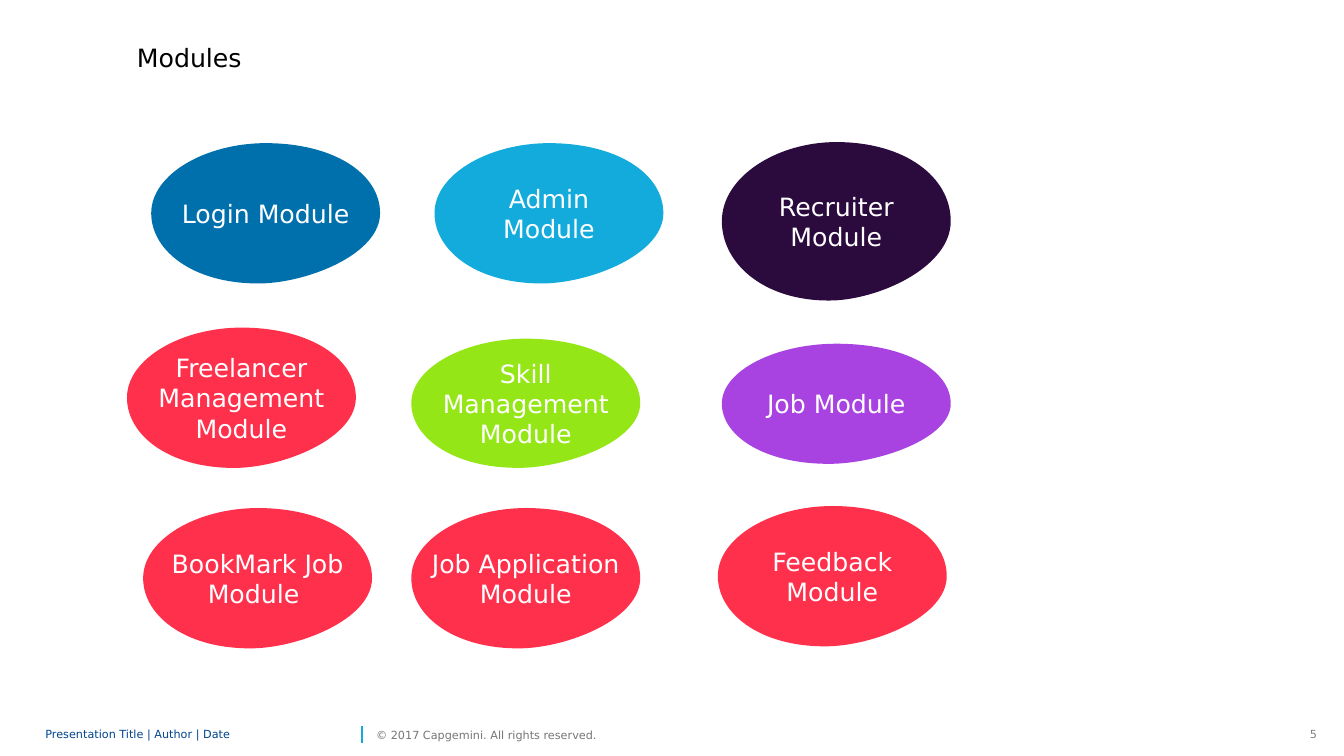
"""Build the slide that shows the nine application modules."""
from typing import NamedTuple

from lxml.etree import SubElement
from pptx import Presentation
from pptx.dml.color import RGBColor
from pptx.enum.shapes import MSO_CONNECTOR
from pptx.enum.text import MSO_ANCHOR, PP_ALIGN
from pptx.oxml.ns import qn
from pptx.shapes.autoshape import Shape
from pptx.slide import Slide
from pptx.text.text import TextFrame
from pptx.util import Inches, Pt

FONT = "DejaVu Sans"
BLOB_WIDTH = 2.27
BLOB_START = (0, 0.5)
BLOB_CURVES = [
    ((0, 0.22), (0.24, 0), (0.5, 0)),
    ((0.8, 0), (1, 0.22), (1, 0.5)),
    ((1, 0.78), (0.71, 0.98), (0.5, 1)),
    ((0.2, 1.02), (0, 0.78), BLOB_START),
]


class Module(NamedTuple):
    left: float
    top: float
    height: float
    color: str
    lines: list[str]


class Label(NamedTuple):
    left: float
    top: float
    width: float
    height: float
    text: str
    style: dict


MODULES = [
    Module(4.08, 3.36, 1.28, "95E616", ["Skill Management Module"]),
    Module(1.26, 3.25, 1.39, "FF304C", ["Freelancer Management", "Module"]),
    Module(4.31, 1.42, 1.39, "12ABDB", ["Admin", "Module"]),
    Module(1.5, 1.42, 1.39, "0070AD", ["Login Module"]),
    Module(7.16, 1.41, 1.57, "2B0A3D", ["Recruiter Module"]),
    Module(7.16, 3.41, 1.19, "A842E0", ["Job Module"]),
    Module(4.08, 5.04, 1.39, "FF304C", ["Job Application", "Module"]),
    Module(7.12, 5.02, 1.39, "FF304C", ["Feedback Module"]),
    Module(1.42, 5.04, 1.39, "FF304C", ["BookMark Job Module "]),
]

FOOTER = {"size": 8, "anchor": MSO_ANCHOR.MIDDLE, "inset": (0, 0)}
LABELS = [
    Label(12.89, 7.17, 0.27, 0.24, "5",
          {"size": 8, "color": "808080", "align": PP_ALIGN.RIGHT, "wrap": False}),
    Label(0.45, 7.17, 3.09, 0.24, "Presentation Title | Author | Date",
          {**FOOTER, "color": "00458D", "spacing": 0.85}),
    Label(3.73, 7.17, 2.43, 0.24, "© 2017 Capgemini. All rights reserved.",
          {**FOOTER, "color": "767676", "wrap": False}),
    Label(1.26, 0.37, 6.27, 0.4, "Modules", {}),
]


def rgb(color: str) -> RGBColor:
    return RGBColor.from_string(color)


def write(frame: TextFrame, lines: list[str], *, size: float = 18,
          color: str = "000000", align: PP_ALIGN = PP_ALIGN.LEFT,
          anchor: MSO_ANCHOR = MSO_ANCHOR.TOP, wrap: bool = True,
          inset: tuple[float, float] = (0.1, 0.05),
          spacing: float = 1.0) -> None:
    frame.word_wrap = wrap
    frame.vertical_anchor = anchor
    frame.margin_left = frame.margin_right = Inches(inset[0])
    frame.margin_top = frame.margin_bottom = Inches(inset[1])
    for index, line in enumerate(lines):
        paragraph = frame.add_paragraph() if index else frame.paragraphs[0]
        paragraph.alignment = align
        paragraph.line_spacing = spacing
        run = paragraph.add_run()
        run.text = line
        run.font.name = FONT
        run.font.size = Pt(size)
        run.font.color.rgb = rgb(color)


def round_sides(blob: Shape, height: float) -> None:
    sides = list(blob.element.spPr.iter(qn("a:lnTo")))
    for side, curve in zip(sides, BLOB_CURVES):
        arc = SubElement(side.getparent(), qn("a:cubicBezTo"))
        for x, y in curve:
            SubElement(arc, qn("a:pt"), x=str(Inches(x * BLOB_WIDTH)),
                       y=str(Inches(y * height)))
        side.getparent().replace(side, arc)


def add_module(slide: Slide, module: Module) -> None:
    corners = [(Inches(module.left + x * BLOB_WIDTH),
                Inches(module.top + y * module.height))
               for x, y in [BLOB_START, *(curve[-1] for curve in BLOB_CURVES)]]
    builder = slide.shapes.build_freeform(*corners[0])
    builder.add_line_segments(corners[1:], close=True)
    blob = builder.convert_to_shape()
    round_sides(blob, module.height)
    blob.shadow.inherit = False
    blob.fill.solid()
    blob.fill.fore_color.rgb = rgb(module.color)
    blob.line.fill.background()
    write(blob.text_frame, module.lines, color="FFFFFF",
          align=PP_ALIGN.CENTER, anchor=MSO_ANCHOR.MIDDLE)


def add_label(slide: Slide, label: Label) -> None:
    box = slide.shapes.add_textbox(*map(Inches, label[:4]))
    write(box.text_frame, [label.text], **label.style)


def add_footer_divider(slide: Slide) -> None:
    divider = slide.shapes.add_connector(
        MSO_CONNECTOR.STRAIGHT, *map(Inches, (3.59, 7.37, 3.59, 7.2)))
    divider.line.color.rgb = rgb("12ABDB")
    divider.line.width = Pt(1)
    SubElement(divider.element.spPr, qn("a:effectLst"))


def main() -> None:
    deck = Presentation()
    deck.slide_width = Inches(13.33)
    deck.slide_height = Inches(7.5)
    slide = deck.slides.add_slide(deck.slide_layouts[6])
    add_footer_divider(slide)
    for label in LABELS:
        add_label(slide, label)
    for module in MODULES:
        add_module(slide, module)
    deck.save("out.pptx")


if __name__ == "__main__":
    main()
